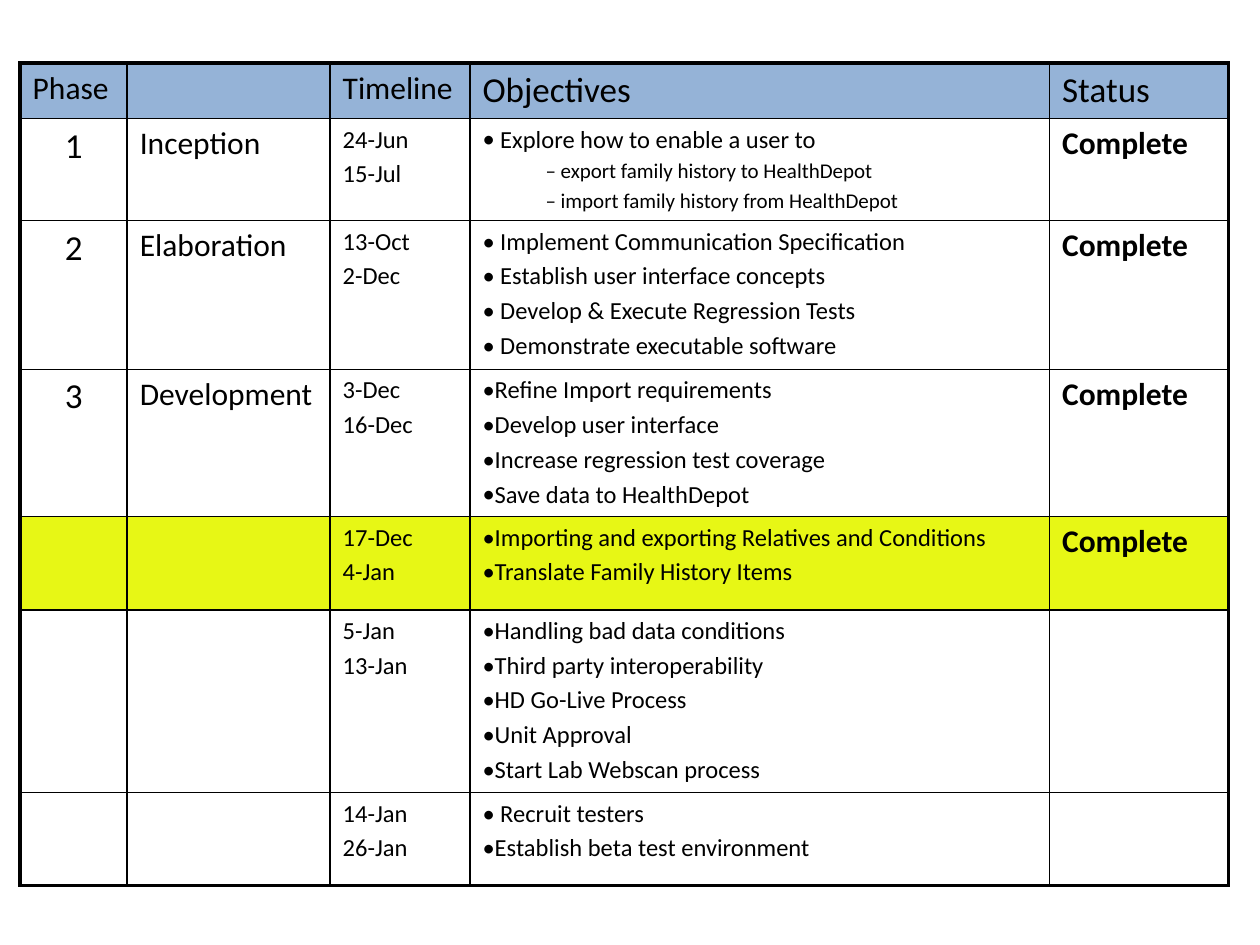
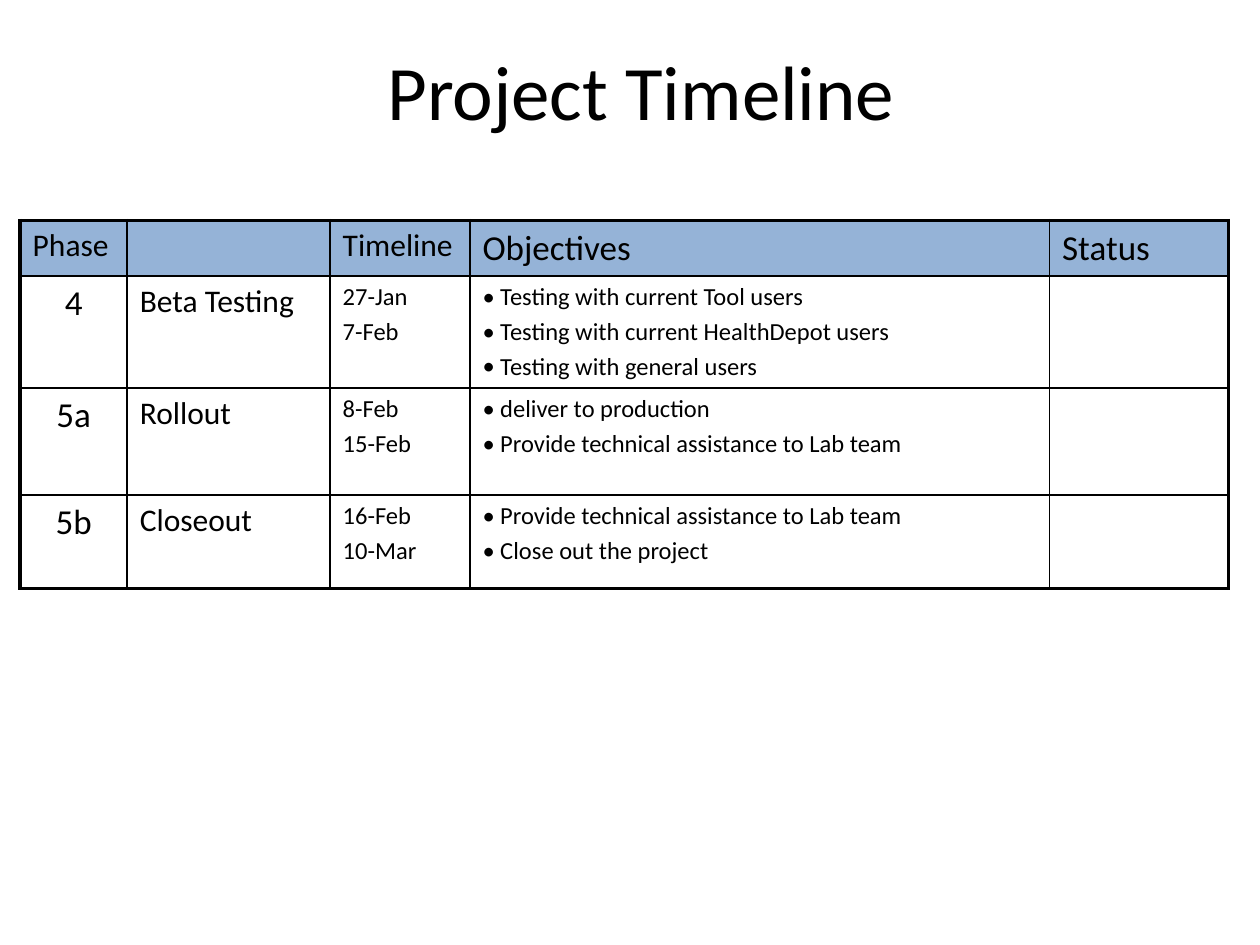
from lxml import etree
from pptx import Presentation
from pptx.dml.color import RGBColor
from pptx.enum.text import MSO_ANCHOR, PP_ALIGN
from pptx.oxml.ns import qn
from pptx.util import Inches, Pt

LEFT, MID = PP_ALIGN.LEFT, PP_ALIGN.CENTER
CENTRE = MSO_ANCHOR.MIDDLE
BLACK = RGBColor(0x00, 0x00, 0x00)
WHITE = RGBColor(0xFF, 0xFF, 0xFF)
BLUE = RGBColor(0x95, 0xB3, 0xD7)
LIME = RGBColor(0xE7, 0xF7, 0x15)
THIN, THICK = 1, 2.25

# Shared look of both tables: column widths and one format per column
WIDE, HIGH = Inches(10), Inches(7.5)
COLS = [0.85, 1.61, 1.11, 4.6, 1.42]
EDGE = 0.16
FACE = "Calibri"
HEAD = ["Phase", "", "Timeline", "Objectives", "Status"]
BASE = {"name": FACE, "bold": False}
HEAD_FONT = [{**BASE, "size": Pt(s)} for s in (18, 18, 18, 20, 20)]
BODY_FONT = [{**BASE, "size": Pt(s)} for s in (20, 18, 14, 14, 18)]
BODY_FONT[-1]["bold"] = True
SUB_FONT = {**BASE, "size": Pt(12)}
GOALS = 3

# Each row: height, fill, then the cells; a line starting with "–" is a sub-item
PLAN = [
    (0.81, WHITE, ["1", "Inception", "24-Jun\n15-Jul",
                   " Explore how to enable a user to\n"
                   "– export family history to HealthDepot\n"
                   "– import family history from HealthDepot", "Complete"]),
    (1.18, WHITE, ["2", "Elaboration", "13-Oct\n2-Dec",
                   " Implement Communication Specification\n"
                   " Establish user interface concepts\n"
                   " Develop & Execute Regression Tests\n"
                   " Demonstrate executable software", "Complete"]),
    (1.17, WHITE, ["3", "Development", "3-Dec\n16-Dec",
                   "Refine Import requirements\nDevelop user interface\n"
                   "Increase regression test coverage\n"
                   "Save data to HealthDepot", "Complete"]),
    (0.74, LIME, ["", "", "17-Dec\n4-Jan",
                  "Importing and exporting Relatives and Conditions\n"
                  "Translate Family History Items", "Complete"]),
    (1.45, WHITE, ["", "", "5-Jan\n13-Jan",
                   "Handling bad data conditions\nThird party interoperability\n"
                   "HD Go-Live Process\nUnit Approval\n"
                   "Start Lab Webscan process", ""]),
    (0.74, WHITE, ["", "", "14-Jan\n26-Jan",
                   " Recruit testers\nEstablish beta test environment", ""]),
]
LAUNCH = [
    (0.89, WHITE, ["4", "Beta Testing", "27-Jan\n7-Feb",
                   " Testing with current Tool users\n"
                   " Testing with current HealthDepot users\n"
                   " Testing with general users", ""]),
    (0.85, WHITE, ["5a", "Rollout", "8-Feb\n15-Feb",
                   " deliver to production\n"
                   " Provide technical assistance to Lab team", ""]),
    (0.74, WHITE, ["5b", "Closeout", "16-Feb\n10-Mar",
                   " Provide technical assistance to Lab team\n"
                   " Close out the project", ""]),
]


def write(para, text, font, align=LEFT):
    para.alignment = align
    run = para.add_run()
    run.text = text
    for key, value in font.items():
        setattr(run.font, key, value)
    run.font.color.rgb = BLACK


def rule(cell, side, width):
    line = etree.SubElement(cell._tc.get_or_add_tcPr(), qn("a:ln" + side),
                            w=str(Pt(width)))
    fill = etree.SubElement(line, qn("a:solidFill"))
    etree.SubElement(fill, qn("a:srgbClr"), val=str(BLACK))


deck = Presentation()
deck.slide_width, deck.slide_height = WIDE, HIGH
blank = deck.slide_layouts[6]

for top, title, body in ((0.5, "", PLAN), (1.75, "Project Timeline", LAUNCH)):
    slide = deck.slides.add_slide(blank)
    rows = [(0.44, BLUE, HEAD)] + body

    # Table frame
    table = slide.shapes.add_table(
        len(rows), len(COLS), Inches(EDGE), Inches(top), Inches(sum(COLS)),
        Inches(sum(row[0] for row in rows))).table
    table.first_row = table.horz_banding = False
    for col, width in zip(table.columns, COLS):
        col.width = Inches(width)

    for r, (height, tint, texts) in enumerate(rows):
        table.rows[r].height = Inches(height)
        for c, text in enumerate(texts):
            cell = table.cell(r, c)

            # Borders: thick around the table, thin inside
            outer = {"L": c == 0, "R": c == len(COLS) - 1,
                     "T": r == 0, "B": r == len(rows) - 1}
            for side, thick in outer.items():
                rule(cell, side, THICK if thick else THIN)
            cell.fill.solid()
            cell.fill.fore_color.rgb = tint
            if not text:
                continue

            # Text: one paragraph a line, bullets in the objectives
            for n, line in enumerate(text.split("\n")):
                frame = cell.text_frame
                para = frame.add_paragraph() if n else frame.paragraphs[0]
                sub = line.startswith("–")
                font = SUB_FONT if sub else (BODY_FONT if r else HEAD_FONT)[c]
                para.space_before = Pt(0.2 * font["size"].pt)
                if r and c == GOALS:
                    props = para._p.get_or_add_pPr()
                    props.set("marL", str(Inches(0.5 if sub else 0)))
                    props.set("indent", "0")
                    if sub:
                        para.level = 1
                    etree.SubElement(props, qn("a:buFont"), typeface=FACE)
                    etree.SubElement(props, qn("a:buChar"),
                                     char="–" if sub else "•")
                write(para, line.lstrip("–"), font, MID if r and c == 0 else LEFT)

    # Title
    if title:
        frame = slide.shapes.add_textbox(
            Inches(0.59), Inches(0.09), int(WIDE * 0.9), Inches(1.25)).text_frame
        frame.word_wrap = True
        frame.vertical_anchor = CENTRE
        write(frame.paragraphs[0], title, {**BASE, "size": Pt(44)}, MID)

deck.save("out.pptx")
